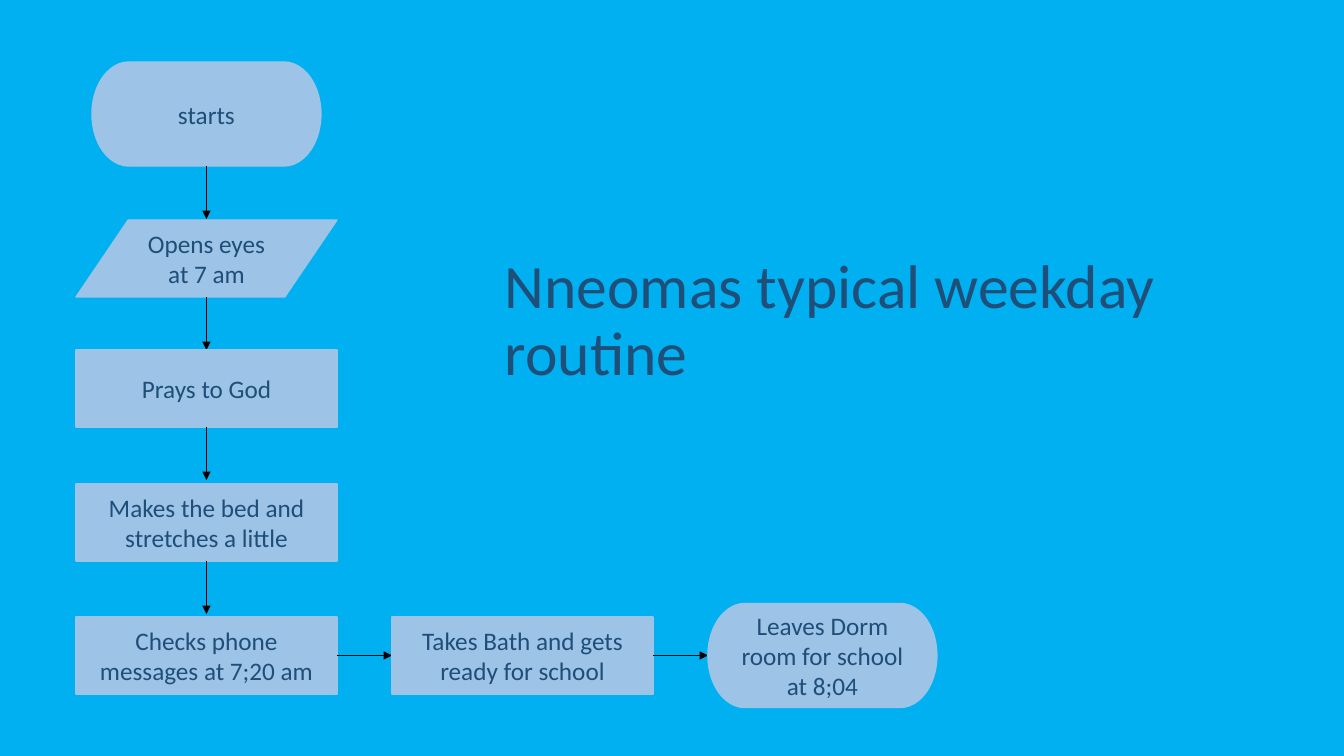
from dataclasses import dataclass

from lxml import etree
from pptx import Presentation
from pptx.dml.color import RGBColor
from pptx.enum.shapes import MSO_CONNECTOR, MSO_SHAPE
from pptx.enum.text import MSO_ANCHOR, PP_ALIGN
from pptx.oxml.ns import qn
from pptx.util import Pt

TERMINATOR = MSO_SHAPE.FLOWCHART_TERMINATOR
DATA = MSO_SHAPE.FLOWCHART_DATA
PROCESS = MSO_SHAPE.RECTANGLE
STRAIGHT = MSO_CONNECTOR.STRAIGHT
MIDDLE = MSO_ANCHOR.MIDDLE
LEFT, CENTER = PP_ALIGN.LEFT, PP_ALIGN.CENTER

EMU_PER_PX = 914400 / 100.8
SLIDE_W, SLIDE_H = 1344, 756
STEP_W, STEP_H = 261, 77
END_W, END_H = 229, 104
ARROW = 53
GAP = 55


@dataclass(frozen=True)
class Theme:
    """Colours, font and type sizes of the slide."""
    background: RGBColor = RGBColor(0x00, 0xB0, 0xF0)
    step: RGBColor = RGBColor(0x9D, 0xC3, 0xE6)
    text: RGBColor = RGBColor(0x1F, 0x4E, 0x79)
    arrow: RGBColor = RGBColor(0x00, 0x00, 0x00)
    font: str = "Calibri"
    title_size: Pt = Pt(44)
    step_size: Pt = Pt(18)
    outline: Pt = Pt(1)
    arrow_line: Pt = Pt(0.5)


THEME = Theme()


def px(*lengths):
    """Turn pixel lengths into EMU."""
    return [round(n * EMU_PER_PX) for n in lengths]


def set_text(sp, text, size, align):
    """Write one wrapped, vertically centred paragraph and format it."""
    tf = sp.text_frame
    tf.word_wrap = True
    tf.vertical_anchor = MIDDLE
    tf.text = text
    p = tf.paragraphs[0]
    p.alignment = align
    font = p.runs[0].font
    font.name, font.size = THEME.font, size
    font.color.rgb = THEME.text
    return p


def add_step(s, kind, text, center_x, center_y):
    """Add one flowchart step around its centre."""
    w, h = (END_W, END_H) if kind == TERMINATOR else (STEP_W, STEP_H)
    sp = s.shapes.add_shape(kind, *px(center_x - w / 2, center_y - h / 2, w, h))
    sp.shadow.inherit = False
    sp.fill.solid()
    sp.fill.fore_color.rgb = THEME.step
    sp.line.color.rgb = THEME.step
    sp.line.width = THEME.outline
    set_text(sp, text, THEME.step_size, CENTER)


def add_arrow(s, x1, y1, x2, y2):
    """Add a thin line with an arrowhead at its end."""
    line = s.shapes.add_connector(STRAIGHT, *px(x1, y1, x2, y2))
    line.line.color.rgb = THEME.arrow
    line.line.width = THEME.arrow_line
    ln = line.line._get_or_add_ln()
    etree.SubElement(ln, qn("a:tailEnd"), type="triangle")
    etree.SubElement(line._element.spPr, qn("a:effectLst"))


def add_morning_column(s, left, top, steps):
    """Stack (kind, text, offset) steps downwards, with an arrow after each."""
    x = left + STEP_W / 2
    for kind, text, offset in steps:
        h = END_H if kind == TERMINATOR else STEP_H
        add_step(s, kind, text, x, top + offset + h / 2)
        bottom = top + offset + h
        add_arrow(s, x, bottom, x, bottom + ARROW)


def add_leaving_row(s, left, top, steps):
    """Run steps rightwards, with an arrow between neighbours."""
    y = top + STEP_H / 2
    for i, (kind, text) in enumerate(steps):
        w = END_W if kind == TERMINATOR else STEP_W
        if i:
            add_arrow(s, left - GAP, y, left, y)
        add_step(s, kind, text, left + w / 2, y)
        left += w + GAP


def add_title(s, left, top, width, height, text):
    """Add the slide title in its box."""
    sp = s.shapes.add_textbox(*px(left, top, width, height))
    p = set_text(sp, text, THEME.title_size, LEFT)
    p.line_spacing = 0.9


def add_routine_slide(prs):
    """Build the weekday routine flowchart slide."""
    s = prs.slides.add_slide(prs.slide_layouts[6])
    s.background.fill.solid()
    s.background.fill.fore_color.rgb = THEME.background
    add_morning_column(s, 76, 62, [
        (TERMINATOR, "starts", 0),
        (DATA, "Opens eyes at 7 am", 158),
        (PROCESS, "Prays to God", 288),
        (PROCESS, "Makes the bed and stretches a little", 422),
    ])
    add_leaving_row(s, 76, 617, [
        (PROCESS, "Checks phone messages at 7;20 am"),
        (PROCESS, "Takes Bath and gets ready for school"),
        (TERMINATOR, "Leaves Dorm room for school at 8;04"),
    ])
    add_title(s, 495, 249, 811, 146, "Nneomas typical weekday routine")


def main():
    """Create and save the presentation."""
    prs = Presentation()
    prs.slide_width, prs.slide_height = px(SLIDE_W, SLIDE_H)
    add_routine_slide(prs)
    prs.save("out.pptx")


main()
